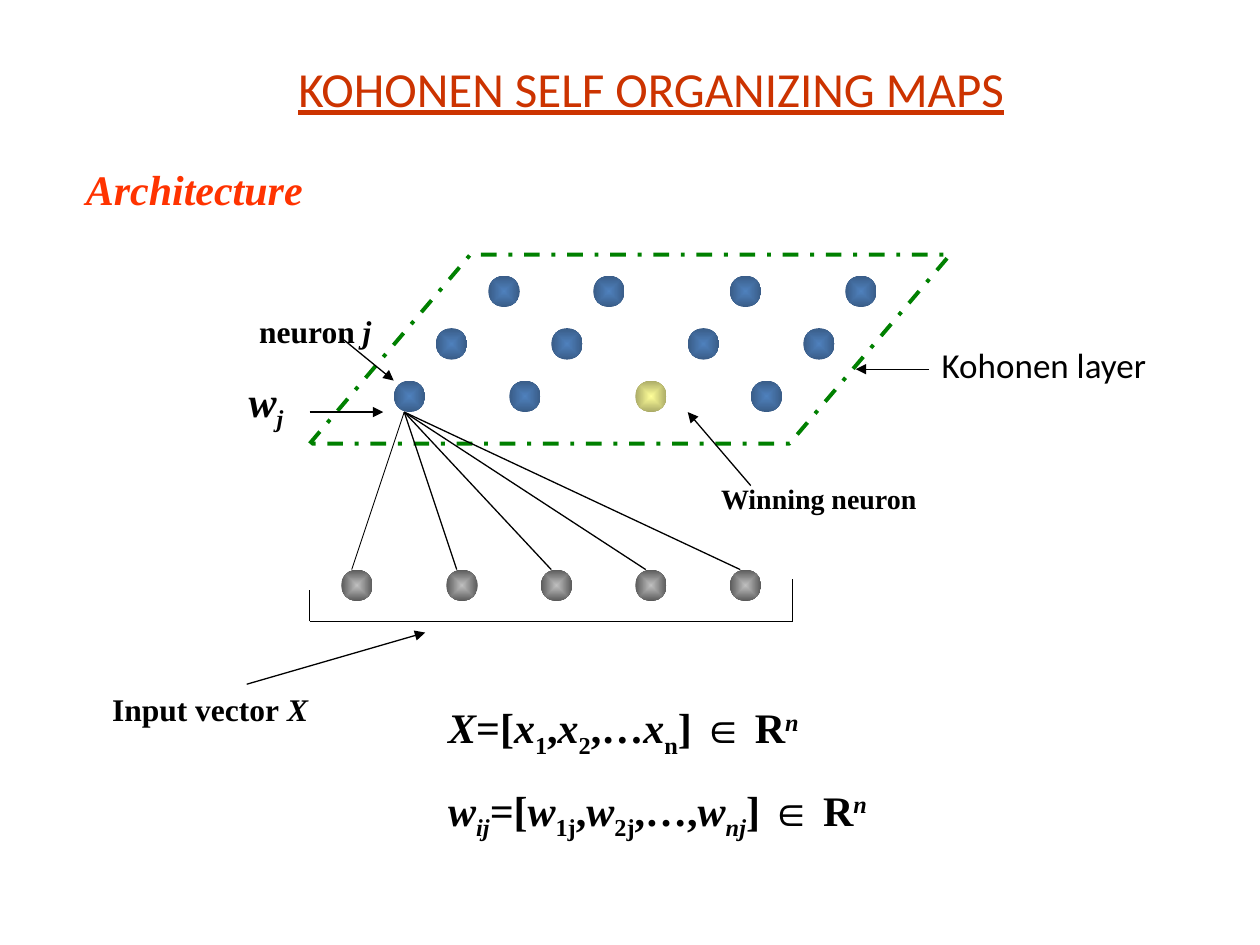
from pptx import Presentation
from pptx.dml.color import RGBColor
from pptx.enum.dml import MSO_LINE as Dash
from pptx.enum.shapes import MSO_CONNECTOR as Link, MSO_SHAPE as Kind
from pptx.enum.text import MSO_ANCHOR as Anchor, MSO_AUTO_SIZE as Fit, PP_ALIGN as Align
from pptx.oxml.ns import qn
from pptx.util import Pt
from lxml.etree import SubElement

theme = {
    "ink": "000000", "title": "CC3300", "head": "FF3300", "layer": "008000",
    "blue": ("4F81BD", "395C87"), "gray": ("C0C0C0", "595959"),
    "gold": ("FFFF99", "AAAA66"),
    "serif": "Times New Roman", "sans": "Calibri",
    "big": 28, "large": 24, "mid": 20, "base": 18, "small": 16,
}


def write(para, text, size=theme["large"], color=theme["ink"], font=theme["serif"],
          bold=True, italic=False, under=False, shift=0):
    run = para.add_run()
    run.text = text
    face = run.font
    face.size, face.name = Pt(size), font
    face.bold, face.italic, face.underline = bold, italic, under
    face.color.rgb = RGBColor.from_string(color)
    if shift:
        run._r.get_or_add_rPr().set("baseline", str(shift * 1000))


def join(x1, y1, x2, y2, width=0.75, arrow=False):
    link = slide.shapes.add_connector(Link.STRAIGHT, Pt(x1), Pt(y1), Pt(x2), Pt(y2))
    link.line.width = Pt(width)
    link.line.color.rgb = RGBColor.from_string(theme["ink"])
    if arrow:
        SubElement(link.line._get_or_add_ln(), qn("a:tailEnd"), type="triangle")
    SubElement(link.element.spPr, qn("a:effectLst"))


deck = Presentation()
deck.slide_width, deck.slide_height = Pt(720), Pt(540)
slide = deck.slides.add_slide(deck.slide_layouts[5])

title = slide.shapes.title
title.left, title.top, title.width, title.height = Pt(90), Pt(30), Pt(564), Pt(41)
frame = title.text_frame
frame.auto_size, frame.word_wrap = Fit.NONE, True
frame.vertical_anchor = Anchor.TOP
frame.paragraphs[0].alignment = Align.CENTER
write(frame.paragraphs[0], "KOHONEN SELF ORGANIZING MAPS", size=theme["big"],
      color=theme["title"], font=theme["sans"], bold=False, under=True)

layer = slide.shapes.add_shape(Kind.PARALLELOGRAM, Pt(177), Pt(145.5), Pt(366), Pt(108))
layer.adjustments[0] = 0.85
layer.shadow.inherit = False
layer.fill.background()
layer.line.color.rgb = RGBColor.from_string(theme["layer"])
layer.line.width = Pt(2.25)
layer.line.dash_style = Dash.DASH_DOT

inputs = [195, 255, 309, 363, 417]
for x in inputs:
    join(x + 6, 325.5, 231, 235.5, width=0.5 if x == inputs[0] else 0.75)

rows = [
    (157.5, "blue", [279, 339, 417, 483]),
    (187.5, "blue", [249, 315, 393, 459]),
    (217.5, "blue", [225, 291, 429]),
    (217.5, "gold", [363]),
    (325.5, "gray", inputs),
]
for y, tone, spots in rows:
    for x in spots:
        dot = slide.shapes.add_shape(Kind.OVAL, Pt(x), Pt(y), Pt(18), Pt(18))
        dot.shadow.inherit = False
        dot.line.fill.background()
        dot.fill.gradient()
        for stop, color in zip(dot.fill.gradient_stops, theme[tone]):
            stop.color.rgb = RGBColor.from_string(color)
        grad = dot.element.spPr.find(qn("a:gradFill"))
        grad.remove(grad.find(qn("a:lin")))
        focus = SubElement(grad, qn("a:path"), path="shape")
        SubElement(focus, qn("a:fillToRect"), l="50000", t="50000", r="50000", b="50000")

for ends in [(177, 355, 453, 355), (177, 355, 177, 337), (453, 355, 453, 331)]:
    join(*ends)

for ends in [(429, 277.5, 393, 235.5), (177, 235.5, 219, 235.5), (195, 193, 225, 217.5),
             (141, 391, 243, 361.5), (531, 211, 489, 211)]:
    join(*ends, arrow=True)

flat, slant = {}, {"italic": True}
sub, low = {"shift": -25}, {"italic": True, "shift": -25}
power = {"italic": True, "shift": 30}
base = {"size": theme["base"]}
labels = [
    (42, 90, 648, 36, [[("Architecture", {"italic": True, "color": theme["head"]})]]),
    (405, 271.5, 186, 27, [[("Winning neuron", {"size": theme["small"]})]]),
    (135, 211, 78, 36, [[("w", slant), ("j", low)]]),
    (141, 175, 90, 29, [[("neuron ", base), ("j", base | slant)]]),
    (57, 391, 186, 29, [[("Input vector", base), (" X", base | slant)]]),
    (531, 193, 150, 31, [[("Kohonen layer", {"size": theme["mid"], "font": theme["sans"],
                                             "bold": False})]]),
    (249, 397.5, 288, 80, [
        [("X", slant), ("=[", flat), ("x", slant), ("1", sub), (",", flat), ("x", slant),
         ("2", sub), (",…", flat), ("x", slant), ("n", sub), ("] ∈ R", flat), ("n", power)],
        [("w", slant), ("ij", low), ("=", slant), ("[", flat), ("w", slant), ("1j", sub),
         (",", flat), ("w", slant), ("2j", sub), (",…,", flat), ("w", slant), ("nj", low),
         ("] ∈ R", flat), ("n", power)],
    ]),
]
for x, y, wide, high, lines in labels:
    frame = slide.shapes.add_textbox(Pt(x), Pt(y), Pt(wide), Pt(high)).text_frame
    frame.word_wrap, frame.auto_size = True, Fit.SHAPE_TO_FIT_TEXT
    for i, line in enumerate(lines):
        para = frame.add_paragraph() if i else frame.paragraphs[0]
        if i:
            para.space_before = Pt(14.4)
        for text, style in line:
            write(para, text, **style)

deck.save("out.pptx")
